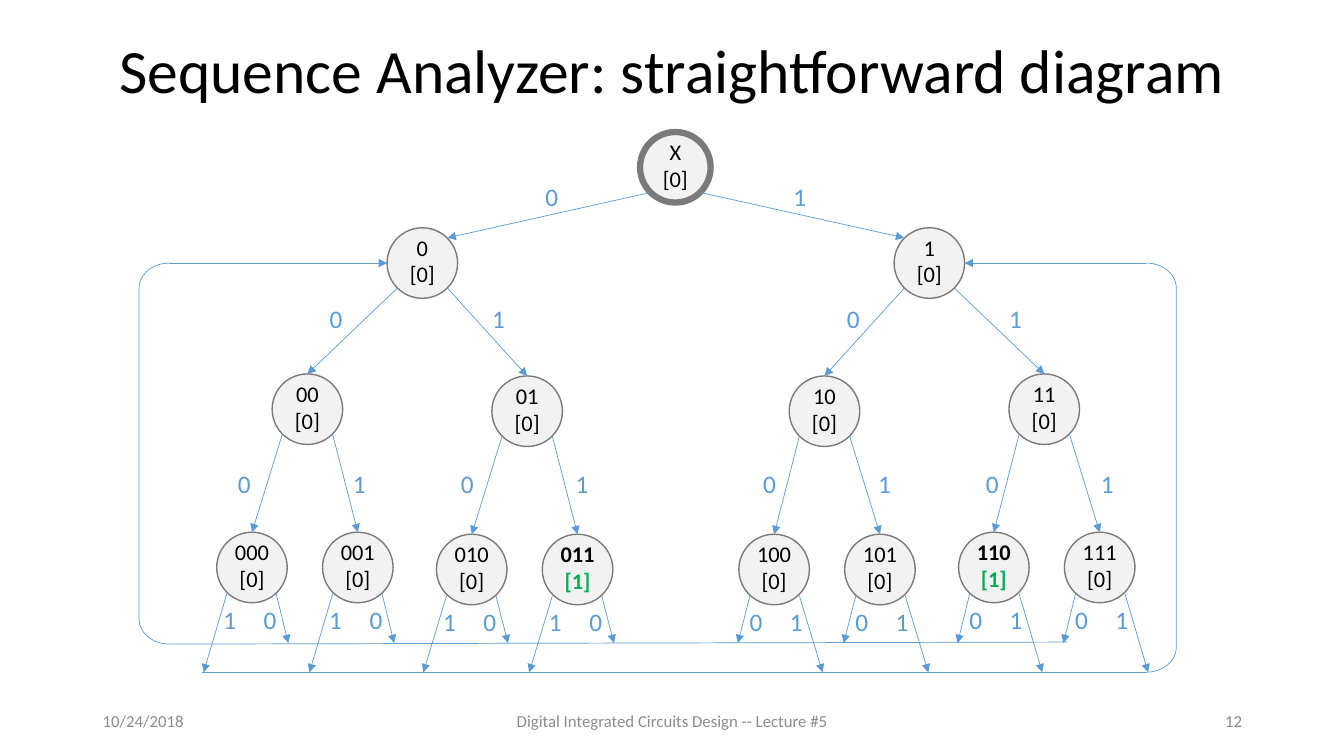
from dataclasses import dataclass
from typing import NamedTuple

from lxml import etree
from pptx import Presentation
from pptx.dml.color import RGBColor
from pptx.enum.shapes import MSO_CONNECTOR, MSO_SHAPE
from pptx.enum.text import MSO_ANCHOR, MSO_AUTO_SIZE, PP_ALIGN
from pptx.oxml.ns import qn
from pptx.util import Inches, Pt

STRAIGHT = MSO_CONNECTOR.STRAIGHT
ELLIPSE, LEFT_BRACKET, RIGHT_BRACKET = MSO_SHAPE.OVAL, MSO_SHAPE.LEFT_BRACKET, MSO_SHAPE.RIGHT_BRACKET
TOP, MIDDLE = MSO_ANCHOR.TOP, MSO_ANCHOR.MIDDLE
LEFT, CENTER, RIGHT = PP_ALIGN.LEFT, PP_ALIGN.CENTER, PP_ALIGN.RIGHT
NO_FIT = MSO_AUTO_SIZE.NONE

FONT = "Calibri"
BLACK, GREY, BLUE, GREEN = "000000", "8C8C8C", "5B9BD5", "00B050"
STATE_FILL, STATE_LINE = "F2F2F2", "7A7A7A"

CELL = Inches(0.1)
COLUMNS, ROWS = 133.33, 75
AXIS = 67.05
RADIUS = 3.5
CORNER = 2.5
LABEL_ROWS = {1: 19.5, 2: 31.6, 3: 48}
ACCEPTED = ("011", "110")
FLIP_BITS = str.maketrans("01", "10")


class Point(NamedTuple):
    column: float
    row: float

    def moved(self, columns: float, rows: float) -> "Point":
        return Point(self.column + columns, self.row + rows)


@dataclass
class State:
    name: str
    center: Point
    label_column: float = 0


@dataclass
class Exit:
    bit: str
    start: float
    end: float
    end_row: float
    label: float


@dataclass
class FooterPart:
    text: str
    column: float
    columns: float
    align: PP_ALIGN


ROOT = State("X", Point(67, 16.6))
LEFT_STATES = [
    State("0", Point(41.9, 26.1), 54.75),
    State("00", Point(30.5, 40.6), 33.35),
    State("01", Point(52.3, 40.8), 49.45),
    State("000", Point(25, 56.3), 24.25),
    State("001", Point(35.5, 56.3), 35.65),
    State("010", Point(46.8, 56.5), 46.35),
    State("011", Point(57.3, 56.5), 57.75),
]
EXITS = [
    Exit("0", 2.4, 3.6, 63.8, 1.8),
    Exit("1", -2.5, -4.8, 66.7, -2.2),
]
FOOTER = [
    FooterPart("10/24/2018", 9.2, 30, LEFT),
    FooterPart("Digital Integrated Circuits Design -- Lecture #5", 44.2, 45, CENTER),
    FooterPart("12", 94.2, 30, RIGHT),
]

deck = Presentation()
deck.slide_width, deck.slide_height = round(COLUMNS * CELL), ROWS * CELL
page = deck.slides.add_slide(deck.slide_layouts[5])


def cells(*counts: float) -> list[int]:
    return [round(count * CELL) for count in counts]


def color(value: str) -> RGBColor:
    return RGBColor.from_string(value)


def add_span(para, text: str, size: float, tint: str, bold: bool = False) -> None:
    span = para.add_run()
    span.text = text
    span.font.name, span.font.size, span.font.bold = FONT, Pt(size), bold
    span.font.color.rgb = color(tint)


def add_text(column: float, row: float, columns: float, rows: float, text: str,
             size: float, tint: str, align: PP_ALIGN, anchor: MSO_ANCHOR, wrap: bool) -> None:
    box = page.shapes.add_textbox(*cells(column, row, columns, rows))
    frame = box.text_frame
    frame.word_wrap, frame.vertical_anchor = wrap, anchor
    para = frame.paragraphs[0]
    para.alignment = align
    add_span(para, text, size, tint)


def add_bit(bit: str, center: Point) -> None:
    add_text(center.column - 1.65, center.row - 2, 3.3, 4, bit, 18, BLUE, CENTER, TOP, False)


def add_line(start: Point, end: Point, arrow: bool = True) -> None:
    line = page.shapes.add_connector(STRAIGHT, *cells(*start, *end))
    line.line.color.rgb, line.line.width = color(BLUE), Pt(0.5)
    if arrow:
        etree.SubElement(line.line._get_or_add_ln(), qn("a:tailEnd"), type="triangle")
    etree.SubElement(line._element.spPr, qn("a:effectLst"))


def add_state(state: State, border: float = 1) -> None:
    column, row = state.center.moved(-RADIUS, -RADIUS)
    circle = page.shapes.add_shape(ELLIPSE, *cells(column, row, 2 * RADIUS, 2 * RADIUS))
    circle.shadow.inherit = False
    circle.fill.solid()
    circle.fill.fore_color.rgb = color(STATE_FILL)
    circle.line.color.rgb, circle.line.width = color(STATE_LINE), Pt(border)
    frame = circle.text_frame
    frame.margin_left = frame.margin_right = frame.margin_top = 0
    frame.margin_bottom = Inches(0.05)
    frame.vertical_anchor = MIDDLE
    accepted = state.name in ACCEPTED
    output, tint = ("[1]", GREEN) if accepted else ("[0]", BLACK)
    name_para, output_para = frame.paragraphs[0], frame.add_paragraph()
    name_para.alignment = output_para.alignment = CENTER
    add_span(name_para, state.name, 16, BLACK, accepted)
    add_span(output_para, output, 16, tint, accepted)


def mirrored(state: State) -> State:
    column, row = state.center
    return State(state.name.translate(FLIP_BITS), Point(2 * AXIS - column, row),
                 2 * AXIS - state.label_column)


def add_edge(parent: State, child: State) -> None:
    side = 1 if child.center.column > parent.center.column else -1
    depth = len(child.name)
    tip = (-side * CORNER, -CORNER) if depth == 1 else (0, -RADIUS)
    add_line(parent.center.moved(side * CORNER, CORNER), child.center.moved(*tip))
    add_bit(child.name[-1], Point(child.label_column, LABEL_ROWS[depth]))


def add_exits(leaf: State, side: int) -> None:
    for way in EXITS:
        add_line(leaf.center.moved(side * way.start, 2.6),
                 Point(leaf.center.column + side * way.end, way.end_row))
        add_bit(way.bit, leaf.center.moved(side * way.label, 5.2))


def add_bracket(kind: MSO_SHAPE, column: float, row: float, rows: float) -> None:
    bracket = page.shapes.add_shape(kind, *cells(column, row, 3, rows))
    bracket.adjustments[0] = 0.83
    bracket.shadow.inherit = False
    bracket.fill.background()
    bracket.line.color.rgb, bracket.line.width = color(BLUE), Pt(0.5)


title = page.shapes.title
title.left, title.top, title.width, title.height = cells(9.2, 3.3, 115, 7.9)
title.text_frame.auto_size, title.text_frame.word_wrap = NO_FIT, True
title.text_frame.vertical_anchor = MIDDLE
title_para = title.text_frame.paragraphs[0]
title_para.alignment, title_para.line_spacing = CENTER, 0.9
add_span(title_para, "Sequence Analyzer: straightforward diagram", 44, BLACK)

for part in FOOTER:
    add_text(part.column, 69.5, part.columns, 4, part.text, 12, GREY, part.align, MIDDLE, True)

add_state(ROOT, 4.5)
for side, states in ((1, LEFT_STATES), (-1, [mirrored(state) for state in LEFT_STATES])):
    by_name = {state.name: state for state in states}
    for state in states:
        add_state(state)
        add_edge(by_name.get(state.name[:-1], ROOT), state)
        if len(state.name) == 3:
            add_exits(state, side)

add_bracket(LEFT_BRACKET, 13.8, 26.1, 37.8)
add_line(Point(105.9, 63.7), Point(16.8, 63.9), False)
add_line(Point(16.8, 26.1), Point(38.4, 26.1))
add_bracket(RIGHT_BRACKET, 113.7, 26.1, 40.6)
add_line(Point(20, 66.7), Point(113.7, 66.7), False)
add_line(Point(113.7, 26.1), Point(95.7, 26.1))

deck.save("out.pptx")
